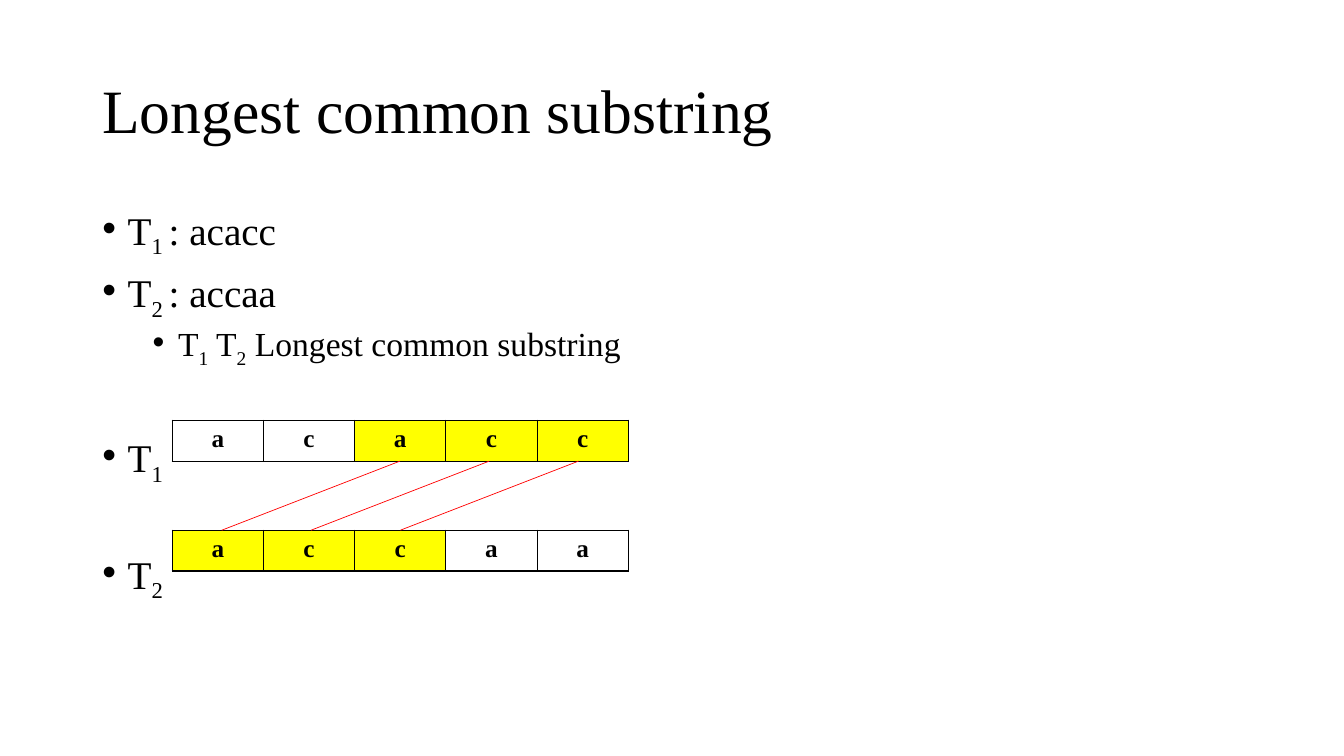
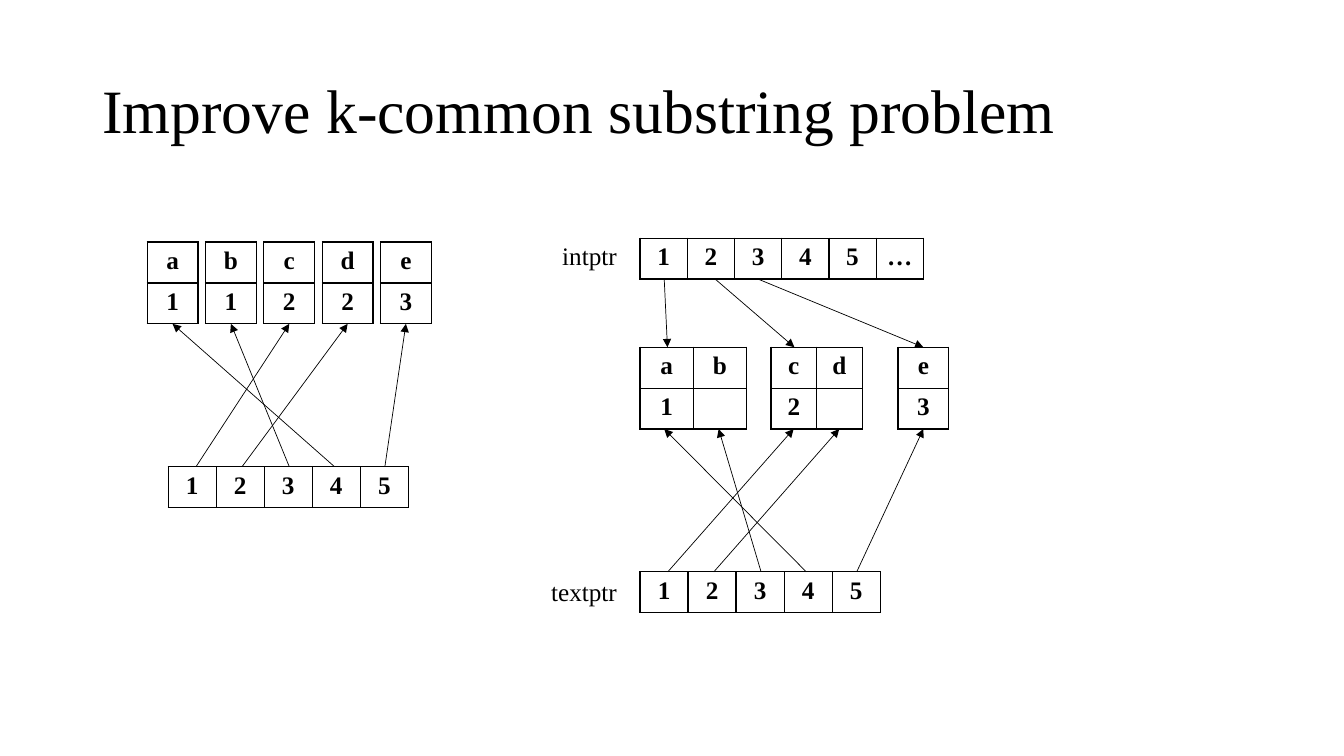
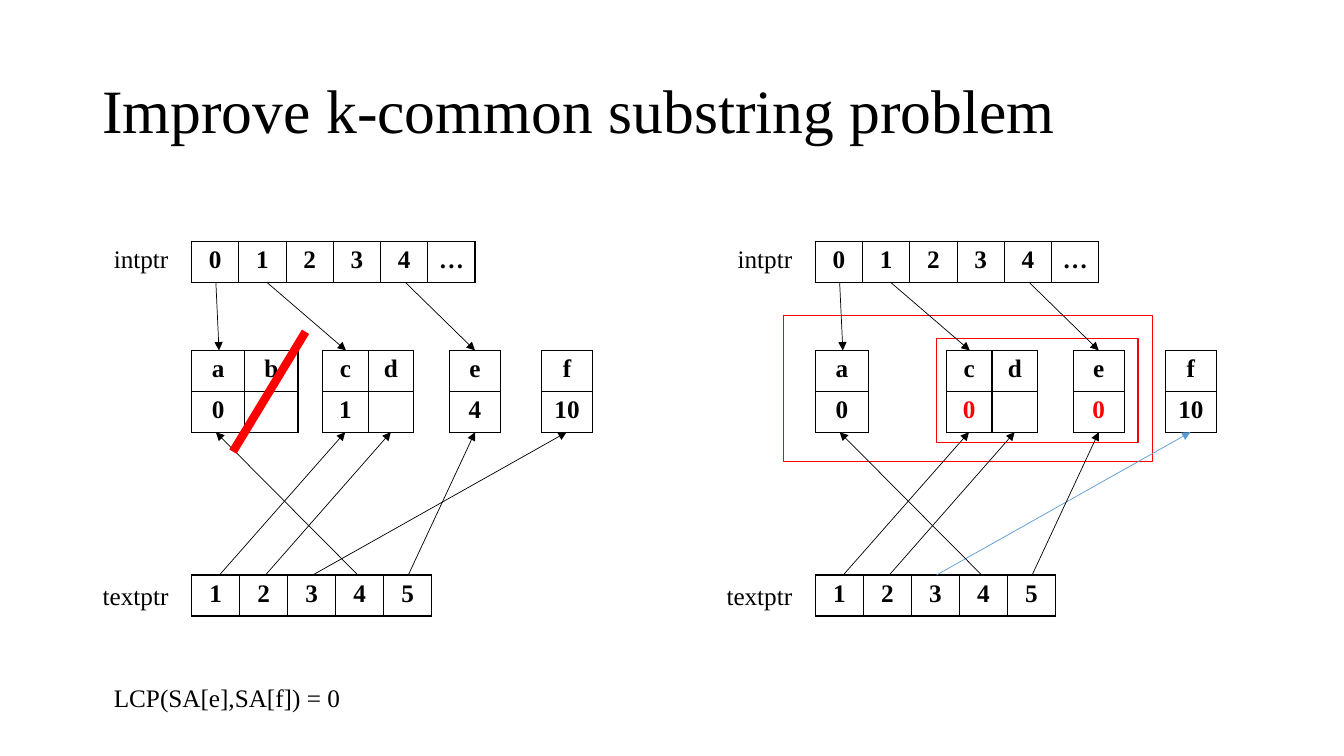
from dataclasses import dataclass

from lxml import etree
from pptx import Presentation
from pptx.dml.color import RGBColor
from pptx.enum.shapes import MSO_CONNECTOR, MSO_SHAPE
from pptx.enum.text import MSO_ANCHOR, PP_ALIGN
from pptx.oxml.ns import qn
from pptx.util import Cm, Pt

STRAIGHT = MSO_CONNECTOR.STRAIGHT
RECTANGLE = MSO_SHAPE.RECTANGLE
TOP, MIDDLE = MSO_ANCHOR.TOP, MSO_ANCHOR.MIDDLE
CENTER = PP_ALIGN.CENTER


@dataclass(frozen=True)
class Theme:
    font: str = "Times New Roman"
    black: RGBColor = RGBColor(0, 0, 0)
    red: RGBColor = RGBColor(0xFF, 0, 0)
    blue: RGBColor = RGBColor(0x5B, 0x9B, 0xD5)
    yellow: RGBColor = RGBColor(0xFF, 0xFF, 0)
    title_size: int = 44
    body_size: int = 28
    sub_size: int = 24
    label_size: int = 18
    thin: float = 0.5
    border: float = 1
    thick: float = 6


THEME = Theme()
ROW_HEIGHT = 1.03


def add_text(slide, box, paragraphs, size, anchor=TOP):
    """Add a text box; each paragraph is a list of (text, is_subscript) runs."""
    frame = slide.shapes.add_textbox(*[Cm(length) for length in box]).text_frame
    frame.word_wrap = True
    frame.vertical_anchor = anchor
    for index, runs in enumerate(paragraphs):
        paragraph = frame.add_paragraph() if index else frame.paragraphs[0]
        for text, is_subscript in runs:
            run = paragraph.add_run()
            run.text = text
            run.font.name = THEME.font
            run.font.size = Pt(size)
            run.font.color.rgb = THEME.black
            if is_subscript:
                run._r.get_or_add_rPr().set("baseline", "-25000")
    return frame


def add_grid(slide, left, top, column_width, rows, filled=(), red=()):
    """Add a bordered table; filled and red hold the texts or columns to mark."""
    column_count = len(rows[0])
    table = slide.shapes.add_table(
        len(rows), column_count, Cm(left), Cm(top),
        Cm(column_width * column_count), Cm(ROW_HEIGHT * len(rows))).table
    table.first_row = table.horz_banding = False
    for column in table.columns:
        column.width = Cm(column_width)
    for row_index, texts in enumerate(rows):
        table.rows[row_index].height = Cm(ROW_HEIGHT)
        for column_index, text in enumerate(texts):
            cell = table.cell(row_index, column_index)
            properties = cell._tc.get_or_add_tcPr()
            for side in ("a:lnL", "a:lnR", "a:lnT", "a:lnB"):
                line = etree.SubElement(properties, qn(side), w=str(Pt(THEME.border)))
                fill = etree.SubElement(line, qn("a:solidFill"))
                etree.SubElement(fill, qn("a:srgbClr"), val=str(THEME.black))
            if column_index in filled:
                cell.fill.solid()
                cell.fill.fore_color.rgb = THEME.yellow
            else:
                cell.fill.background()
            paragraph = cell.text_frame.paragraphs[0]
            paragraph.alignment = CENTER
            if text:
                run = paragraph.add_run()
                run.text = text
                run.font.name = THEME.font
                run.font.size = Pt(THEME.label_size)
                run.font.bold = True
                run.font.color.rgb = THEME.red if text in red else THEME.black


presentation = Presentation()
presentation.slide_width = Cm(33.87)
presentation.slide_height = Cm(19.05)

slides = []
for title in ("Longest common substring",
              "Improve k-common substring problem",
              "Improve k-common substring problem"):
    slide = presentation.slides.add_slide(presentation.slide_layouts[6])
    title_frame = add_text(slide, (2.33, 1.01, 29.21, 3.68), [[(title, False)]],
                           THEME.title_size, MIDDLE)
    title_frame.paragraphs[0].line_spacing = 0.9
    slides.append(slide)
substring_slide, improve_slide, merge_slide = slides

# Each entry: slide, start, end, colour, width, has arrowhead
connectors = []

# Longest common substring: bullets and two aligned texts
# Each entry: runs, level, space before
bullets = [
    ([("T", False), ("1 ", True), (": acacc", False)], 0, 0),
    ([("T", False), ("2 ", True), (": accaa", False)], 0, 10),
    ([("T", False), ("1", True), (" T", False), ("2", True),
      (" Longest common substring", False)], 1, 5),
    ([("T", False), ("1", True)], 0, 49),
    ([("T", False), ("2", True)], 0, 49),
]
body = add_text(substring_slide, (2.33, 5.08, 29.21, 12.09),
                [runs for runs, level, space in bullets], THEME.body_size)
for paragraph, (runs, level, space) in zip(body.paragraphs, bullets):
    properties = paragraph._p.get_or_add_pPr()
    properties.set("marL", str(Cm(0.64 + 1.27 * level)))
    properties.set("indent", str(-Cm(0.64)))
    etree.SubElement(properties, qn("a:buFont"), typeface="Arial")
    etree.SubElement(properties, qn("a:buChar"), char="•")
    paragraph.line_spacing = 0.9
    paragraph.space_before = Pt(space)
    if level:
        paragraph.level = level
        for run in paragraph.runs:
            run.font.size = Pt(THEME.sub_size)

first_top, second_top = 10.59, 13.36
add_grid(substring_slide, 4.34, first_top, 2.3, ["acacc"], filled=(2, 3, 4))
add_grid(substring_slide, 4.34, second_top, 2.3, ["accaa"], filled=(0, 1, 2))
for match in range(3):
    shift = 2.25 * match
    connectors.append((substring_slide, (10.08 + shift, first_top + ROW_HEIGHT),
                       (5.59 + shift, second_top), THEME.red, THEME.thin, False))

# Where arrows leave the five text cells, from the left of the array
text_exits = (0.7, 1.86, 3.05, 4.19, 5.46)
text_cell, pointer_cell, node_cell = 1.21, 1.19, 1.28

# Improve: one node for each suffix
node_left, node_top, node_step = 3.71, 6.1, 1.47
array_left, array_top = 4.24, 11.76
for index, node in enumerate(("a1", "b1", "c2", "d2", "e3")):
    add_grid(improve_slide, node_left + node_step * index, node_top, node_cell, node)
add_grid(improve_slide, array_left, array_top, text_cell, ["12345"])
for exit_x, target in zip(text_exits, (2, 3, 1, 0, 4)):
    target_x = node_left + node_step * target + node_cell / 2
    connectors.append((improve_slide, (array_left + exit_x, array_top),
                       (target_x, node_top + 2 * ROW_HEIGHT),
                       THEME.black, THEME.thin, True))

# Pointer diagrams: intptr array, grouped nodes, textptr array
# Group: offset from the left, column width, rows
group_ab = (0, 1.34, [("a", "b"), ("0", "")])
group_f = (8.82, node_cell, [("f",), ("10",)])
diagrams = [
    dict(slide=improve_slide, left=16.13, top=6, pointers="12345…",
         groups=[(0, 1.34, [("a", "b"), ("1", "")]),
                 (3.3, 1.15, [("c", "d"), ("2", "")]),
                 (6.5, node_cell, ["e", "3"])],
         last_exit=2.97, third_target=1.98, third_color=THEME.black, red=()),
    dict(slide=merge_slide, left=4.83, top=6.08, pointers="01234…",
         groups=[group_ab,
                 (3.3, 1.15, [("c", "d"), ("1", "")]),
                 (6.5, node_cell, ["e", "4"]), group_f],
         last_exit=5.38, third_target=9.45, third_color=THEME.black, red=()),
    dict(slide=merge_slide, left=20.55, top=6.08, pointers="01234…",
         groups=[(0, 1.34, ["a", "0"]),
                 (3.3, 1.15, [("c", "d"), ("0", "")]),
                 (6.5, node_cell, ["e", "0"]), group_f],
         last_exit=5.38, third_target=9.45, third_color=THEME.blue, red=("0",)),
]
group_drop, text_drop = 2.75, 8.41
for diagram in diagrams:
    slide, left, top = diagram["slide"], diagram["left"], diagram["top"]
    group_top, text_top = top + group_drop, top + text_drop
    add_text(slide, (left - 2.21, top - 0.08, 1.98, 1.02), [[("intptr", False)]],
             THEME.label_size)
    add_text(slide, (left - 2.49, text_top, 2.59, 1.02), [[("textptr", False)]],
             THEME.label_size)
    add_grid(slide, left, top, pointer_cell, [diagram["pointers"]])
    add_grid(slide, left, text_top, text_cell, ["12345"])
    for offset, column_width, rows in diagram["groups"]:
        add_grid(slide, left + offset, group_top, column_width, rows,
                 red=diagram["red"] if offset else ())
    for exit_x, target_x in zip((0.61, 1.89, diagram["last_exit"]), (0.69, 3.89, 7.14)):
        connectors.append((slide, (left + exit_x, top + ROW_HEIGHT),
                           (left + target_x, group_top),
                           THEME.black, THEME.thin, True))
    targets = (3.87, 5.02, diagram["third_target"], 0.61, 7.14)
    for index, (exit_x, target_x) in enumerate(zip(text_exits, targets)):
        color = diagram["third_color"] if index == 2 else THEME.black
        connectors.append((slide, (left + exit_x, text_top),
                           (left + target_x, group_top + 2 * ROW_HEIGHT),
                           color, THEME.thin, True))

# Merge: formula, frames round the merged groups, stroke through b
add_text(merge_slide, (2.62, 17.07, 6.38, 1.02), [[("LCP(SA[e],SA[f]) = 0", False)]],
         THEME.label_size)
for box in ((23.6, 8.53, 5.08, 2.62), (19.74, 7.95, 9.3, 3.68)):
    frame_shape = merge_slide.shapes.add_shape(RECTANGLE, *[Cm(length) for length in box])
    frame_shape.shadow.inherit = False
    frame_shape.fill.background()
    frame_shape.line.color.rgb = THEME.red
    frame_shape.line.width = Pt(THEME.border)
connectors.append((merge_slide, (7.7, 8.36), (5.87, 11.38),
                   THEME.red, THEME.thick, False))

for slide, start, end, color, width, has_arrowhead in connectors:
    connector = slide.shapes.add_connector(
        STRAIGHT, *[Cm(length) for length in start + end])
    connector.line.color.rgb = color
    connector.line.width = Pt(width)
    properties = connector._element.spPr
    if has_arrowhead:
        etree.SubElement(properties.find(qn("a:ln")), qn("a:tailEnd"), type="triangle")
    etree.SubElement(properties, qn("a:effectLst"))

presentation.save("out.pptx")
